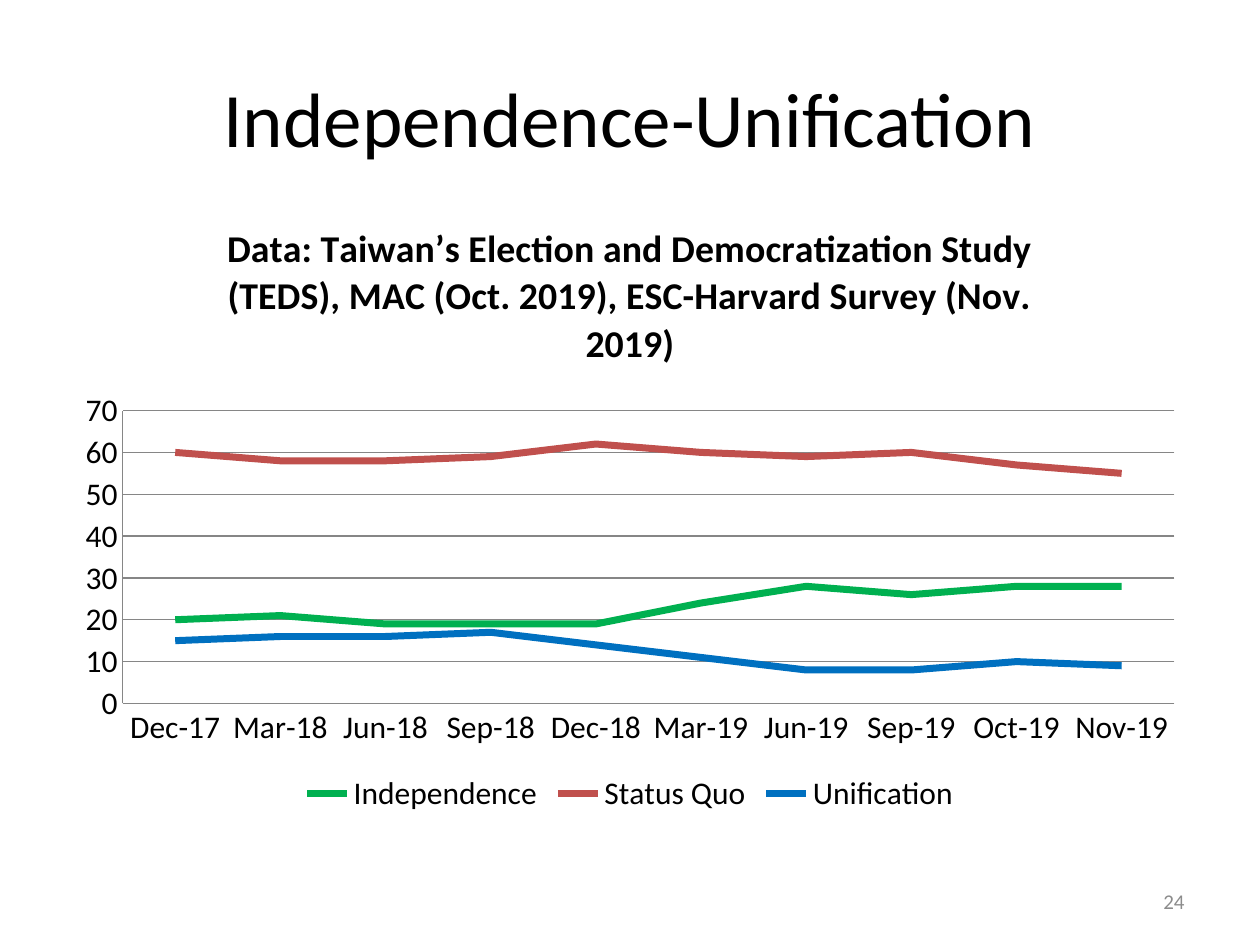
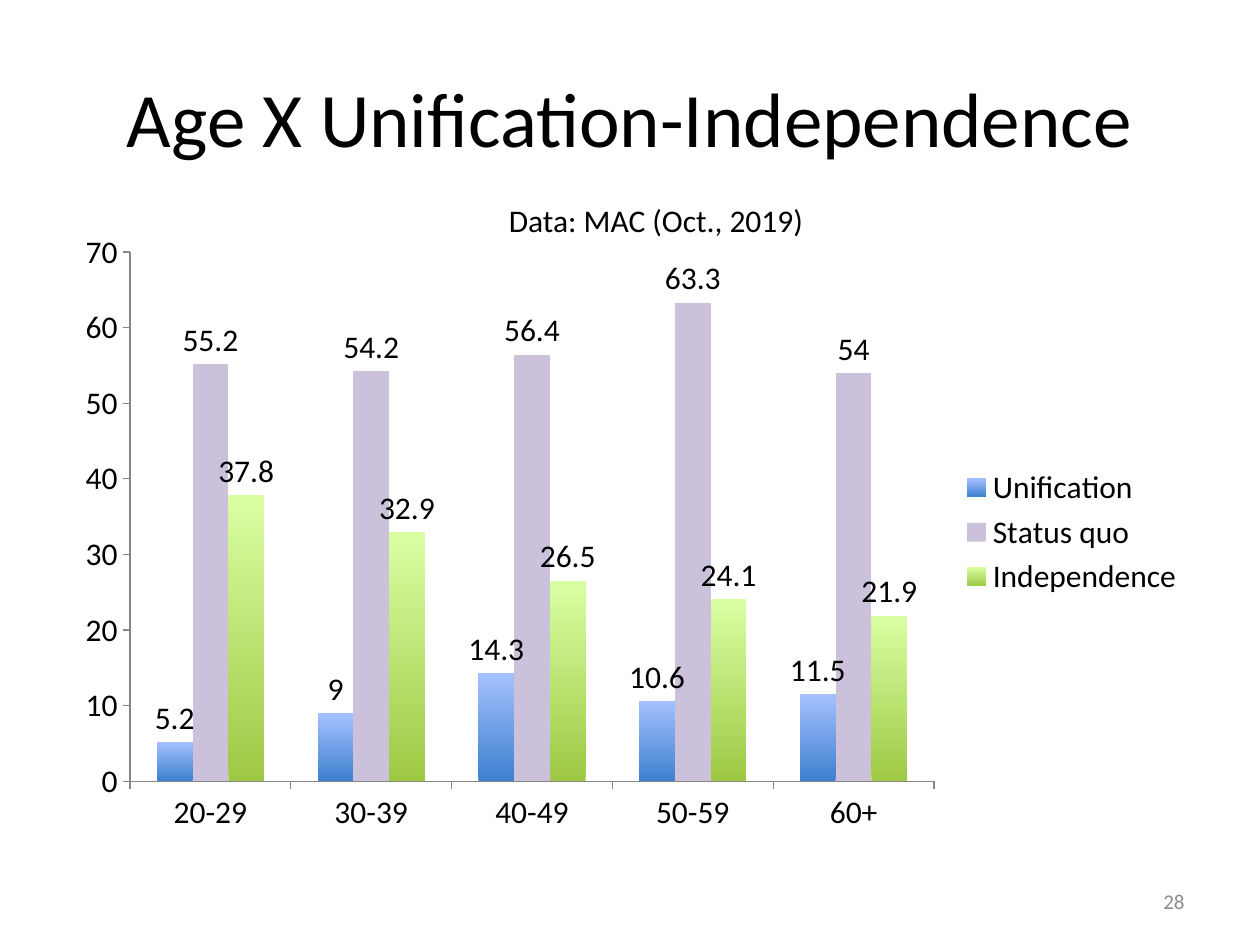
from dataclasses import dataclass

import pptx
import pptx.chart.data
import pptx.dml.color
import pptx.enum.chart
import pptx.enum.text
import pptx.util

Inches = pptx.util.Inches
Pt = pptx.util.Pt
ChartType = pptx.enum.chart.XL_CHART_TYPE
LegendPosition = pptx.enum.chart.XL_LEGEND_POSITION
TickMark = pptx.enum.chart.XL_TICK_MARK
Align = pptx.enum.text.PP_ALIGN
Anchor = pptx.enum.text.MSO_ANCHOR


def rgb(value):
    return pptx.dml.color.RGBColor.from_string(value)


@dataclass(frozen=True)
class Theme:
    font: str = "Calibri"
    ink: str = "000000"
    muted: str = "8C8C8C"
    axis: str = "868686"
    green: str = "00B050"
    red: str = "C0504D"
    blue: str = "0070C0"
    lilac: str = "CCC1DA"
    blue_fade: tuple = ("3E80CF", "A5C1FF")
    green_fade: tuple = ("9EC944", "D9FFA3")
    title_size: float = 44
    body_size: float = 18
    chart_title_size: float = 21.6
    number_size: float = 12
    series_width: float = 4
    axis_width: float = 0.75


class DeckBuilder:
    def __init__(self, theme):
        self.theme = theme
        self.deck = pptx.Presentation()
        self.deck.slide_width = Inches(10)
        self.deck.slide_height = Inches(7.5)
        self.page = None

    def style_font(self, font, size, color, bold=False):
        font.name = self.theme.font
        font.size = Pt(size)
        font.color.rgb = rgb(color)
        font.bold = bold

    def fill_text(self, frame, text, size, color, align, anchor, wrap=True):
        frame.text = text
        frame.word_wrap = wrap
        frame.vertical_anchor = anchor
        para = frame.paragraphs[0]
        para.alignment = align
        for span in para.runs:
            self.style_font(span.font, size, color)

    def place(self, shape, left, top, width, height):
        shape.left, shape.top = Inches(left), Inches(top)
        shape.width, shape.height = Inches(width), Inches(height)

    def add_page(self, title, number):
        self.page = self.deck.slides.add_slide(self.deck.slide_layouts[5])
        heading = self.page.shapes.title
        self.place(heading, 0.5, 0.3, 9, 1.25)
        self.fill_text(heading.text_frame, title, self.theme.title_size,
                       self.theme.ink, Align.CENTER, Anchor.MIDDLE)
        self.add_text(str(number), (7.17, 6.95, 2.33, 0.4),
                      self.theme.number_size, self.theme.muted,
                      Align.RIGHT, Anchor.MIDDLE)

    def add_text(self, text, area, size, color, align, anchor, wrap=True):
        box = self.page.shapes.add_textbox(*map(Inches, area))
        self.fill_text(box.text_frame, text, size, color, align, anchor, wrap)

    def add_chart(self, kind, top, categories, series, legend_position, tick):
        data = pptx.chart.data.CategoryChartData()
        data.categories = categories
        for name, values in series.items():
            data.add_series(name, values)
        frame = self.page.shapes.add_chart(
            kind, Inches(0.5), Inches(top), Inches(9), Inches(4.95), data)
        chart = frame.chart
        self.style_font(chart.font, self.theme.body_size, self.theme.ink)
        chart.has_title = False
        chart.has_legend = True
        chart.legend.position = legend_position
        chart.legend.include_in_layout = False
        chart.plots[0].vary_by_categories = False
        for axis in (chart.category_axis, chart.value_axis):
            axis.major_tick_mark = tick
            axis.minor_tick_mark = TickMark.NONE
            self.style_line(axis.format.line, self.theme.axis, self.theme.axis_width)
        chart.value_axis.has_major_gridlines = False
        chart.value_axis.minimum_scale = 0
        chart.value_axis.maximum_scale = 70
        chart.value_axis.major_unit = 10
        return chart

    def style_line(self, line, color, width):
        line.color.rgb = rgb(color)
        line.width = Pt(width)

    def add_line_chart(self, title, top, categories, series, colors):
        chart = self.add_chart(ChartType.LINE, top, categories, series,
                               LegendPosition.BOTTOM, TickMark.NONE)
        chart.has_title = True
        frame = chart.chart_title.text_frame
        frame.text = title
        self.style_font(frame.paragraphs[0].runs[0].font,
                        self.theme.chart_title_size, self.theme.ink, True)
        chart.value_axis.has_major_gridlines = True
        self.style_line(chart.value_axis.major_gridlines.format.line,
                        self.theme.axis, self.theme.axis_width)
        for trend, color in zip(chart.plots[0].series, colors):
            trend.smooth = False
            trend.marker.style = pptx.enum.chart.XL_MARKER_STYLE.NONE
            self.style_line(trend.format.line, color, self.theme.series_width)

    def add_column_chart(self, top, categories, series, fills):
        chart = self.add_chart(ChartType.COLUMN_CLUSTERED, top, categories, series,
                               LegendPosition.RIGHT, TickMark.OUTSIDE)
        plot = chart.plots[0]
        plot.gap_width = 150
        plot.has_data_labels = True
        labels = plot.data_labels
        labels.show_value = True
        labels.position = pptx.enum.chart.XL_LABEL_POSITION.OUTSIDE_END
        self.style_font(labels.font, self.theme.body_size, self.theme.ink)
        for columns, color in zip(plot.series, fills):
            columns.invert_if_negative = False
            fill = columns.format.fill
            if isinstance(color, tuple):
                fill.gradient()
                fill.gradient_angle = 90
                for stop, shade in zip(fill.gradient_stops, color):
                    stop.color.rgb = rgb(shade)
            else:
                fill.solid()
                fill.fore_color.rgb = rgb(color)


def main():
    theme = Theme()
    builder = DeckBuilder(theme)

    builder.add_page("Independence-Unification", 24)
    builder.add_line_chart(
        "Data: Taiwan’s Election and Democratization Study (TEDS), "
        "MAC (Oct. 2019), ESC-Harvard Survey (Nov. 2019)",
        1.55,
        ["Dec-17", "Mar-18", "Jun-18", "Sep-18", "Dec-18",
         "Mar-19", "Jun-19", "Sep-19", "Oct-19", "Nov-19"],
        {"Independence": [20, 21, 19, 19, 19, 24, 28, 26, 28, 28],
         "Status Quo": [60, 58, 58, 59, 62, 60, 59, 60, 57, 55],
         "Unification": [15, 16, 16, 17, 14, 11, 8, 8, 10, 9]},
        [theme.green, theme.red, theme.blue])

    builder.add_page("Age X Unification-Independence", 28)
    builder.add_column_chart(
        1.75,
        ["20-29", "30-39", "40-49", "50-59", "60+"],
        {"Unification": [5.2, 9, 14.3, 10.6, 11.5],
         "Status quo": [55.2, 54.2, 56.4, 63.3, 54],
         "Independence": [37.8, 32.9, 26.5, 24.1, 21.9]},
        [theme.blue_fade, theme.lilac, theme.green_fade])
    builder.add_text("Data: MAC (Oct., 2019)", (3.94, 1.55, 2.63, 0.4),
                     theme.body_size, theme.ink, Align.LEFT, Anchor.TOP, wrap=False)

    builder.deck.save("out.pptx")


if __name__ == "__main__":
    main()
